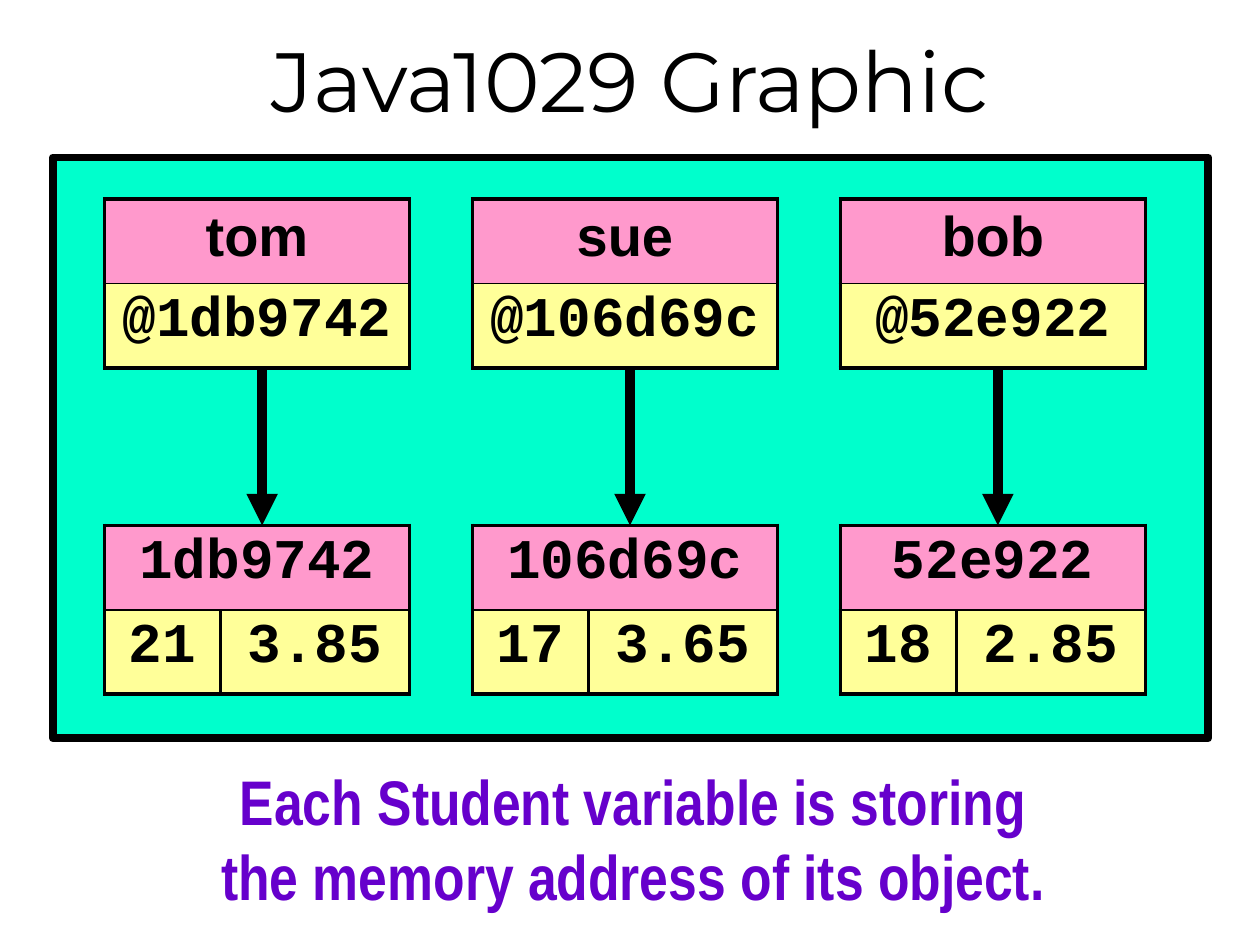
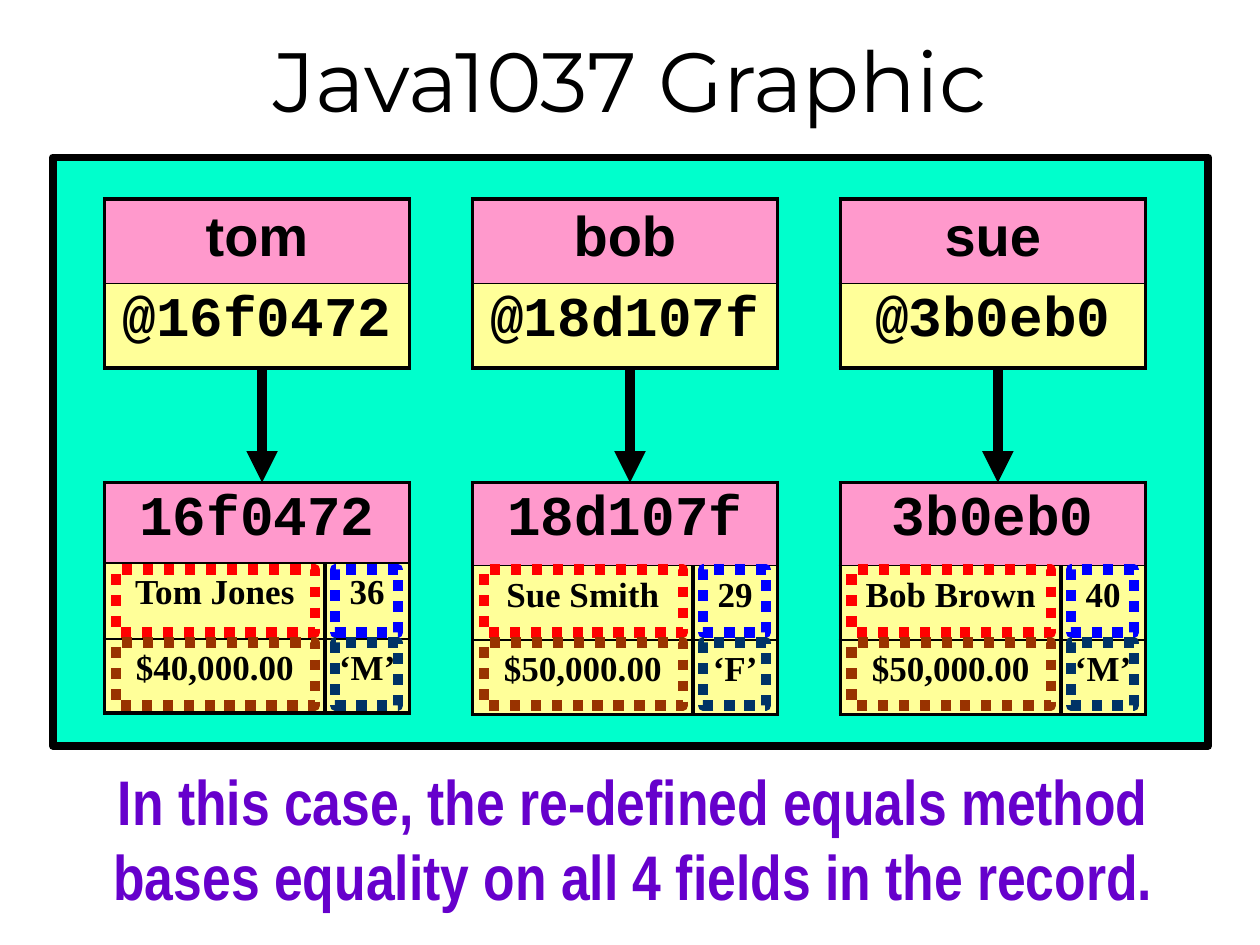
from lxml import etree
from pptx import Presentation
from pptx import util as u
from pptx.dml.color import RGBColor
from pptx.enum import dml, shapes, text
from pptx.oxml import parse_xml
from pptx.oxml.ns import nsdecls, qn

C = {"black": "000000", "panel": "00FFCC", "head": "FF99CC", "value": "FFFF99",
     "caption": "6600CC", "caption_end": "CC00CC", "caption_edge": "CC99FF",
     "name": "FF0000", "age": "0000FF", "salary": "993300", "gender": "003366"}
SANS = {"name": "Arial", "size": u.Pt(32), "bold": True}
MONO = {**SANS, "name": "Courier New"}
SERIF = {**SANS, "name": "Times New Roman", "size": u.Pt(20)}
TITLE = {"name": "Montserrat", "size": u.Pt(48)}
CAPTION = {"name": "Arial Narrow", "size": u.Pt(36), "bold": True}

# Shared grid: three columns of tables
LEFT, STEP, WIDTH = 0.83, 2.92, 2.42
VAR_TOP, VAR_ROW = 1.58, 0.67

SLIDES = [
    {"title": "Java1029 Graphic", "panel": 4.61, "top": 4.17, "cols": [0.92, 1.5],
     "font": MONO, "spacing": 1.0, "frames": [],
     "caption": ["Each Student variable is storing",
                 "the memory address of its object."],
     "objects": [("tom", "1db9742", [0.67, 0.67], [["21", "3.85"]]),
                 ("sue", "106d69c", [0.67, 0.67], [["17", "3.65"]]),
                 ("bob", "52e922", [0.67, 0.67], [["18", "2.85"]])]},
    {"title": "Java1037 Graphic", "panel": 4.67, "top": 3.83, "cols": [1.75, 0.67],
     "font": SERIF, "spacing": 1.1,
     "frames": [("name", 0.09, 4.52, 1.58), ("age", 1.83, 4.52, 0.5),
                ("gender", 1.83, 5.1, 0.5), ("salary", 0.09, 5.1, 1.58)],
     "caption": ["In this case, the re-defined equals method",
                 "bases equality on all 4 fields in the record."],
     "objects": [("tom", "16f0472", [0.64, 0.6, 0.59],
                  [["Tom Jones", "36"], ["$40,000.00", "‘M’"]]),
                 ("bob", "18d107f", [0.66, 0.59, 0.59],
                  [["Sue Smith", "29"], ["$50,000.00", "‘F’"]]),
                 ("sue", "3b0eb0", [0.66, 0.59, 0.59],
                  [["Bob Brown", "40"], ["$50,000.00", "‘M’"]])]},
]


def write(p, words, fmt, spacing=1.0):
    p.alignment = text.PP_ALIGN.CENTER
    if spacing != 1.0:
        p.line_spacing = spacing
    r = p.add_run()
    r.text = words
    for key, value in fmt.items():
        setattr(r.font, key, value)
    r.font.color.rgb = RGBColor.from_string(C["black"])
    return r


def add_grid(s, left, top, cols, heights, rows, fonts, spacing=1.0):
    """Add a boxed table whose first row is a heading across all columns."""
    tbl = s.shapes.add_table(len(heights), len(cols), u.Inches(left), u.Inches(top),
                             u.Inches(sum(cols)), u.Inches(sum(heights))).table
    tbl.first_row = tbl.horz_banding = False
    for col, w in zip(tbl.columns, cols):
        col.width = u.Inches(w)
    for row, h in zip(tbl.rows, heights):
        row.height = u.Inches(h)
    if len(cols) > 1:
        tbl.cell(0, 0).merge(tbl.cell(0, len(cols) - 1))
    last = len(heights) - 1
    for y in range(len(heights)):
        for x in range(len(cols)):
            cell = tbl.cell(y, x)
            cell.fill.solid()
            cell.fill.fore_color.rgb = RGBColor.from_string(C["value" if y else "head"])
            edges = {"lnL": 2.25, "lnR": 2.25, "lnT": 1 if y else 2.25,
                     "lnB": 2.25 if y == last else 1}
            for i, (tag, pts) in enumerate(edges.items()):
                cell._tc.get_or_add_tcPr().insert(i, parse_xml(
                    f'<a:{tag} {nsdecls("a")} w="{u.Pt(pts)}"><a:solidFill>'
                    f'<a:srgbClr val="{C["black"]}"/></a:solidFill></a:{tag}>'))
            if x < len(rows[y]):
                write(cell.text_frame.paragraphs[0], rows[y][x], fonts[min(y, 1)],
                      spacing if y else 1.0)


prs = Presentation()
prs.slide_width, prs.slide_height = u.Inches(10), u.Inches(7.5)

for page in SLIDES:
    s = prs.slides.add_slide(prs.slide_layouts[6])

    # Title
    tf = s.shapes.add_textbox(0, 0, u.Inches(10), u.Inches(1.25)).text_frame
    tf.word_wrap = True
    tf.vertical_anchor = text.MSO_ANCHOR.MIDDLE
    write(tf.paragraphs[0], page["title"], TITLE)

    # Panel
    sp = s.shapes.add_shape(shapes.MSO_SHAPE.RECTANGLE, u.Inches(0.42), u.Inches(1.25),
                            u.Inches(9.17), u.Inches(page["panel"]))
    sp.shadow.inherit = False
    sp.fill.solid()
    sp.fill.fore_color.rgb = RGBColor.from_string(C["panel"])
    sp.line.color.rgb = RGBColor.from_string(C["black"])
    sp.line.width = u.Pt(4.5)

    for i, (variable, address, heights, fields) in enumerate(page["objects"]):
        left = LEFT + STEP * i

        # Variable and the object it refers to
        add_grid(s, left, VAR_TOP, [WIDTH], [VAR_ROW] * 2,
                 [[variable], ["@" + address]], [SANS, MONO])
        add_grid(s, left, page["top"], page["cols"], heights,
                 [[address]] + fields, [MONO, page["font"]], page["spacing"])

        # Reference arrow
        x = u.Inches(left + 1.25)
        arrow = s.shapes.add_connector(shapes.MSO_CONNECTOR.STRAIGHT, x, u.Inches(2.92),
                                       x, u.Inches(page["top"]))
        arrow.line.color.rgb = RGBColor.from_string(C["black"])
        arrow.line.width = u.Pt(6)
        etree.SubElement(arrow.line._get_or_add_ln(), qn("a:tailEnd"), type="triangle")
        etree.SubElement(arrow._element.spPr, qn("a:effectLst"))

        # Dotted frames round the compared fields
        for field, dx, top, w in page["frames"]:
            sp = s.shapes.add_shape(shapes.MSO_SHAPE.RECTANGLE, u.Inches(left + dx),
                                    u.Inches(top), u.Inches(w), u.Inches(0.5))
            sp.shadow.inherit = False
            sp.fill.background()
            sp.line.color.rgb = RGBColor.from_string(C[field])
            sp.line.width = u.Pt(6)
            sp.line.dash_style = dml.MSO_LINE.ROUND_DOT

    # Caption
    tf = s.shapes.add_textbox(u.Inches(0.38), u.Inches(6), u.Inches(9.29),
                              u.Inches(1.42)).text_frame
    tf.word_wrap = False
    for i, line in enumerate(page["caption"]):
        p = tf.add_paragraph() if i else tf.paragraphs[0]
        r = write(p, line, CAPTION)
        r.font.fill.gradient()
        r.font.fill.gradient_angle = 270
        for stop, key in zip(r.font.fill.gradient_stops, ("caption", "caption_end")):
            stop.color.rgb = RGBColor.from_string(C[key])
        r._r.get_or_add_rPr().insert(0, parse_xml(
            f'<a:ln {nsdecls("a")} w="{u.Pt(0.75)}"><a:solidFill>'
            f'<a:srgbClr val="{C["caption_edge"]}"/></a:solidFill></a:ln>'))

prs.save("out.pptx")
